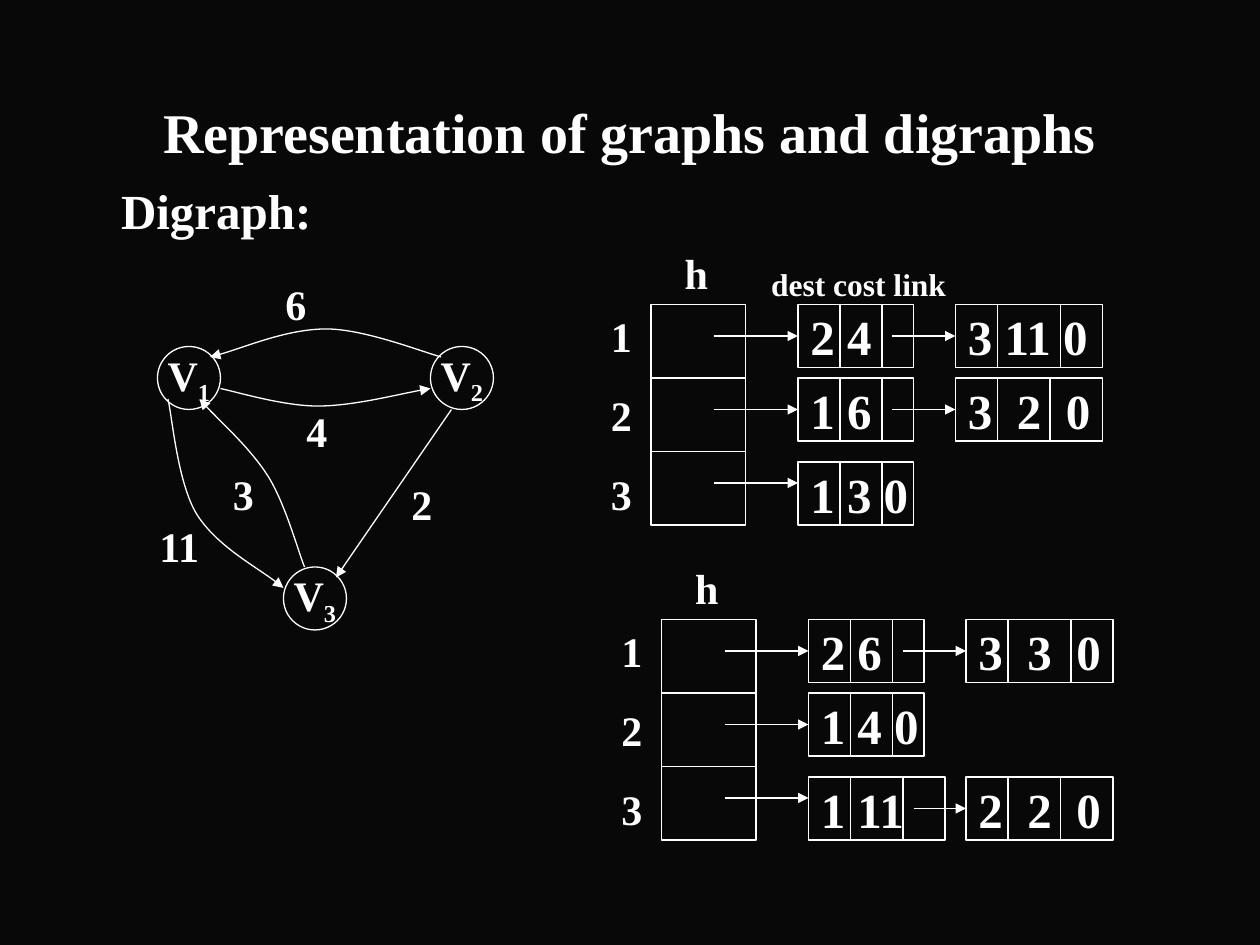
"""Build a slide showing a weighted digraph beside its two adjacency lists."""
from lxml.etree import SubElement
from pptx import Presentation
from pptx.dml.color import RGBColor
from pptx.enum.shapes import MSO_CONNECTOR as Connector, MSO_SHAPE as Shape
from pptx.enum.text import MSO_ANCHOR as Anchor, PP_ALIGN as Align
from pptx.oxml.ns import qn
from pptx.util import Pt

color = RGBColor.from_string
WHITE = "FFFFFF"


def write(item, lines, size, align=Align.LEFT, anchor=Anchor.TOP, wrap=True, before=0, **margins):
    frame = item.text_frame
    for name, value in {"word_wrap": wrap, "vertical_anchor": anchor}.items():
        setattr(frame, name, value)
    for side, margin in margins.items():
        setattr(frame, f"margin_{side}", Pt(margin))
    for index, line in enumerate(lines):
        para = frame.add_paragraph() if index else frame.paragraphs[0]
        para.alignment = align
        para.space_before = Pt(before if index else 0)
        span = para.add_run()
        span.text = line
        font = {"name": "Times New Roman", "size": Pt(size), "bold": True}
        for name, value in font.items():
            setattr(span.font, name, value)
        span.font.color.rgb = color(WHITE)
    return frame.paragraphs[0]


def stroke(item, arrow=False):
    item.line.color.rgb = color(WHITE)
    item.line.width = Pt(0.75)
    properties = item._element.spPr
    if arrow:
        SubElement(properties.find(qn("a:ln")), qn("a:tailEnd"), type="triangle")
    SubElement(properties, qn("a:effectLst"))


deck = Presentation()
deck.slide_width, deck.slide_height = Pt(720), Pt(540)
page = deck.slides.add_slide(deck.slide_layouts[5])
page.background.fill.solid()
page.background.fill.fore_color.rgb = color("080808")
shapes = page.shapes

title = shapes.title
for name, value in {"left": 54, "top": 48, "width": 612, "height": 54}.items():
    setattr(title, name, Pt(value))
write(title, ["Representation of graphs and digraphs"], 32, Align.CENTER, Anchor.MIDDLE)
heading = shapes.add_textbox(Pt(54), Pt(96), Pt(612), Pt(42))
write(heading, ["Digraph:"], 28, left=15.2, top=7.2)

for number, left, top in [("1", 90, 198), ("2", 246, 198), ("3", 162, 324)]:
    vertex = shapes.add_shape(Shape.OVAL, Pt(left), Pt(top), Pt(36), Pt(36))
    vertex.fill.background()
    stroke(vertex)
    para = write(vertex, ["V"], 24, Align.CENTER, Anchor.MIDDLE, wrap=False)
    subscript = para.add_run()
    subscript.text = number
    for name, value in {"name": "Times New Roman", "size": Pt(24), "bold": True}.items():
        setattr(subscript.font, name, value)
    subscript.font.color.rgb = color(WHITE)
    subscript._r.get_or_add_rPr().set("baseline", "-25000")

curved_edges = [
    [(126, 222), (135.5, 224), (162, 232), (181.5, 232), (201.5, 232), (232.5, 224), (246, 222)],
    [(252, 204), (241, 201), (208, 188), (186.5, 188), (164, 188), (134, 201), (120, 204)],
    [(96, 228), (98.5, 239), (101.5, 276), (112.5, 294), (124, 312), (152, 327), (162, 336)],
    [(174, 324), (170.5, 315.5), (163.5, 289.5), (154, 273.5), (144, 257), (122, 237.5), (114, 228)],
]
for points in curved_edges:
    start, *rest = [(Pt(x), Pt(y)) for x, y in points]
    builder = shapes.build_freeform(*start)
    builder.add_line_segments(rest, close=False)
    edge = builder.convert_to_shape()
    edge.fill.background()
    stroke(edge, arrow=True)
    outline = next(edge._element.iter(qn("a:path")))
    segments = outline.findall(qn("a:lnTo"))
    for first in range(0, len(segments), 3):
        curve = SubElement(outline, qn("a:cubicBezTo"))
        for segment in segments[first:first + 3]:
            curve.append(segment[0])
            outline.remove(segment)

straight_edge = shapes.add_connector(Connector.STRAIGHT, Pt(258), Pt(234), Pt(192), Pt(330))
stroke(straight_edge, arrow=True)

weights = [("11", 84, 294), ("3", 126, 264), ("4", 168, 228), ("6", 156, 155.5), ("2", 228, 270)]
for weight, left, top in weights:
    write(shapes.add_textbox(Pt(left), Pt(top), Pt(54), Pt(36)), [weight], 24)

caption = shapes.add_textbox(Pt(420), Pt(142.5), Pt(150), Pt(36))
write(caption, ["dest cost link"], 18, left=20.7, top=9)

NODE_TOPS = (0, 42, 90)
FIRST, SECOND = 84, 174
adjacency_lists = [
    (372, 174, [
        [("2 4", FIRST, 66, 48), ("3 11 0", SECOND, 84, 60)],
        [("1 6", FIRST, 66, 48), ("3\t2\t0", SECOND, 84, 54)],
        [("1 3 0", FIRST, 66, 48)],
    ]),
    (378, 354, [
        [("2 6", FIRST, 66, 48), ("3\t3\t0", SECOND, 84, 60)],
        [("1 4 0", FIRST, 66, 48)],
        [("1 11", FIRST, 78, 54), ("2\t2\t0", SECOND, 84, 54)],
    ]),
]
for left, top, rows in adjacency_lists:
    write(shapes.add_textbox(Pt(left - 6), Pt(top - 36), Pt(54), Pt(36)), ["h"], 24, left=25.2)
    indices = shapes.add_textbox(Pt(left - 30), Pt(top), Pt(36), Pt(124))
    write(indices, ["1", "2", "3"], 24, before=16.4)
    lines = []
    for row, (nodes, node_top) in enumerate(zip(rows, NODE_TOPS)):
        head_top = top + row * 42
        node_top += top
        head = shapes.add_shape(Shape.RECTANGLE, Pt(left), Pt(head_top), Pt(54), Pt(42))
        head.fill.background()
        stroke(head)
        lines.append((left + 36, head_top + 18, left + FIRST, head_top + 18, True))
        for text, offset, width, divider in nodes:
            x = left + offset
            node = shapes.add_shape(Shape.RECTANGLE, Pt(x), Pt(node_top), Pt(width), Pt(36))
            node.fill.background()
            stroke(node)
            para = write(node, [text], 28, anchor=Anchor.MIDDLE, right=0)
            if "\t" in text:
                stops = SubElement(para._p.get_or_add_pPr(), qn("a:tabLst"))
                for stop in (28, 56):
                    SubElement(stops, qn("a:tab"), pos=str(Pt(stop)), algn="l")
            for gap in (24, divider):
                lines.append((x + gap, node_top, x + gap, node_top + 36, False))
        if len(nodes) == 2:
            link = left + FIRST + nodes[0][3] + 6
            lines.append((link, node_top + 18, left + SECOND, node_top + 18, True))
    for *ends, arrow in lines:
        stroke(shapes.add_connector(Connector.STRAIGHT, *map(Pt, ends)), arrow)

deck.save("out.pptx")
